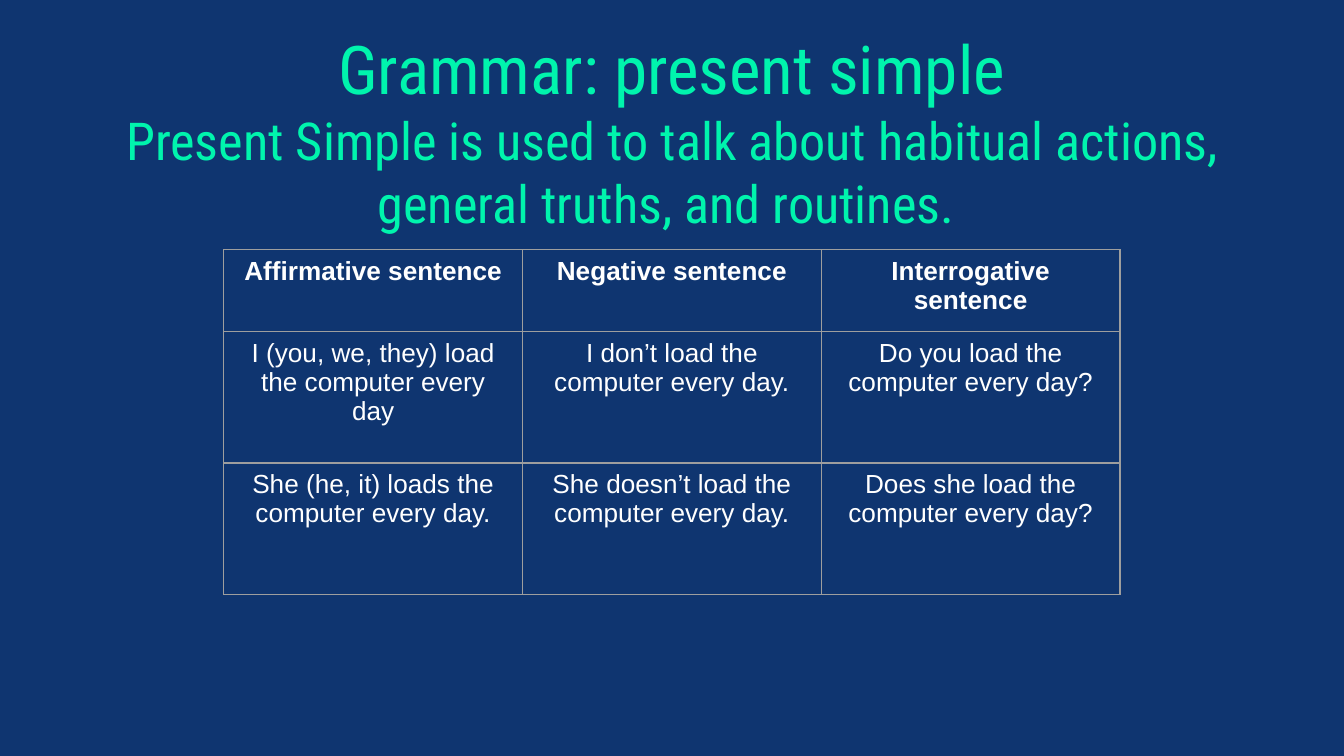
import pptx
import pptx.dml.color
import pptx.enum.text
import pptx.oxml
import pptx.oxml.ns
import pptx.util
from pptx.util import Cm

NAVY = "0F3570"
GREEN = "00F4AD"
WHITE = "FFFFFF"
GREY = "9E9E9E"

TITLE = "Grammar: present simple"
SUBTITLE = "Present Simple is used to talk about habitual actions, general truths, and routines. "
SENTENCES = [
    ["Affirmative sentence", "Negative sentence", "Interrogative sentence"],
    [
        "I (you, we, they) load the computer every day",
        "I don’t load the computer every day.",
        "Do you load the computer every day?",
    ],
    [
        "She (he, it) loads the computer every day.",
        "She doesn’t load the computer every day.",
        "Does she load the computer every day?",
    ],
]
ROW_HEIGHTS = [Cm(1.55), Cm(2.48), Cm(2.48)]


def color(value):
    return pptx.dml.color.RGBColor.from_string(value)


def format_span(span, font_name, size, value, bold=False):
    span.font.name = font_name
    span.font.size = pptx.util.Pt(size)
    span.font.color.rgb = color(value)
    span.font.bold = bold


def add_heading(page, left, top, width, height):
    box = page.shapes.add_textbox(left, top, width, height)
    frame = box.text_frame
    frame.word_wrap = True
    frame.margin_left = frame.margin_right = 0
    frame.margin_top = frame.margin_bottom = 0
    frame.vertical_anchor = pptx.enum.text.MSO_ANCHOR.MIDDLE
    para = frame.paragraphs[0]
    para.text = f"{TITLE}\v{SUBTITLE}"
    para.alignment = pptx.enum.text.PP_ALIGN.CENTER
    for span, size in zip(para.runs, (36, 28)):
        format_span(span, "Roboto Condensed", size, GREEN)


def add_borders(cell):
    properties = cell._tc.get_or_add_tcPr()
    namespace = pptx.oxml.ns.nsdecls("a")
    for index, side in enumerate(("lnL", "lnR", "lnT", "lnB")):
        border = pptx.oxml.parse_xml(
            f'<a:{side} {namespace} w="{pptx.util.Pt(0.75)}"><a:solidFill>'
            f'<a:srgbClr val="{GREY}"/></a:solidFill></a:{side}>'
        )
        properties.insert(index, border)


def add_sentence_table(page, left, top, width, height):
    columns = len(SENTENCES[0])
    table = page.shapes.add_table(len(SENTENCES), columns, left, top, width, height).table
    table.horz_banding = False
    for column in table.columns:
        column.width = width // columns
    for row_index, (row, row_height) in enumerate(zip(table.rows, ROW_HEIGHTS)):
        row.height = row_height
        for cell, sentence in zip(row.cells, SENTENCES[row_index]):
            cell.text_frame.text = sentence
            para = cell.text_frame.paragraphs[0]
            para.alignment = pptx.enum.text.PP_ALIGN.CENTER
            format_span(para.runs[0], "Arial", 14, WHITE, row_index == 0)
            cell.fill.background()
            add_borders(cell)


def main():
    deck = pptx.Presentation()
    deck.slide_width = Cm(25.4)
    deck.slide_height = Cm(14.29)
    page = deck.slides.add_slide(deck.slide_layouts[6])
    page.background.fill.solid()
    page.background.fill.fore_color.rgb = color(NAVY)
    add_heading(page, Cm(2), Cm(0.3), Cm(21.4), Cm(4.34))
    add_sentence_table(page, Cm(4.23), Cm(4.72), Cm(16.94), sum(ROW_HEIGHTS))
    deck.save("out.pptx")


if __name__ == "__main__":
    main()
